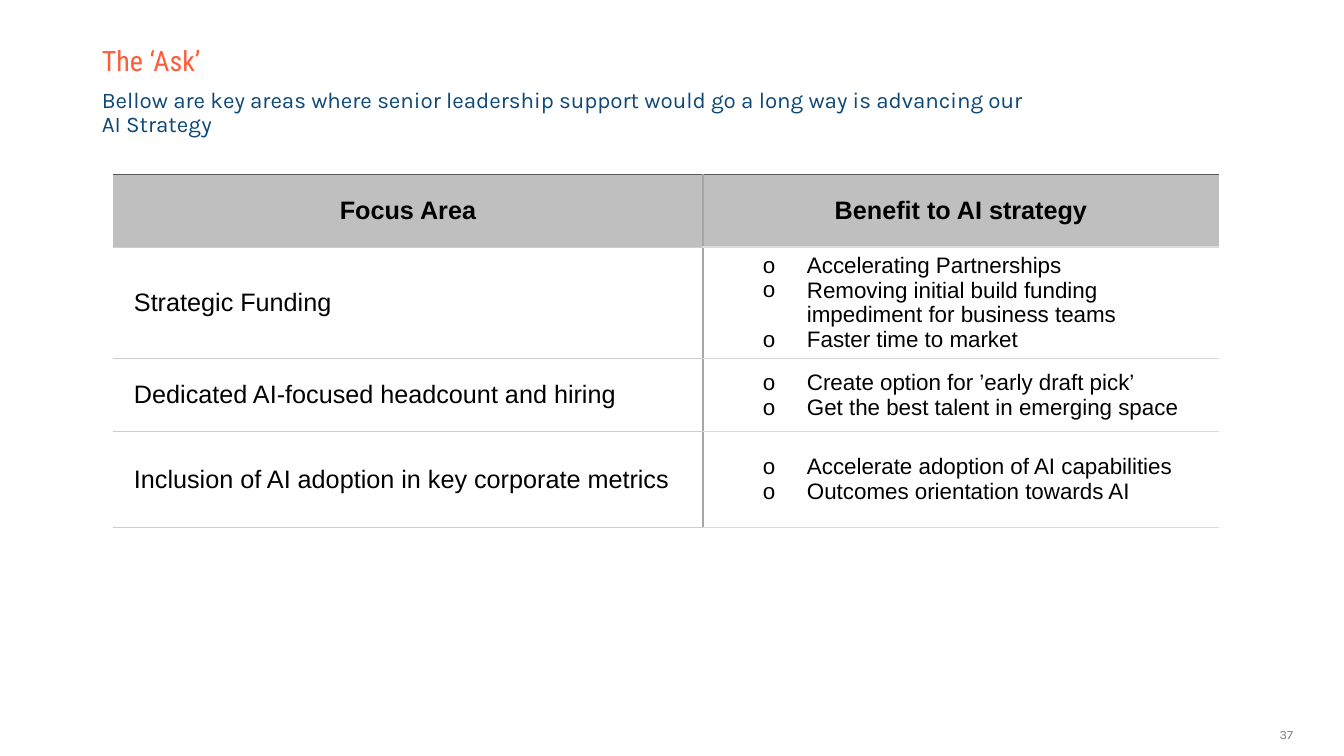
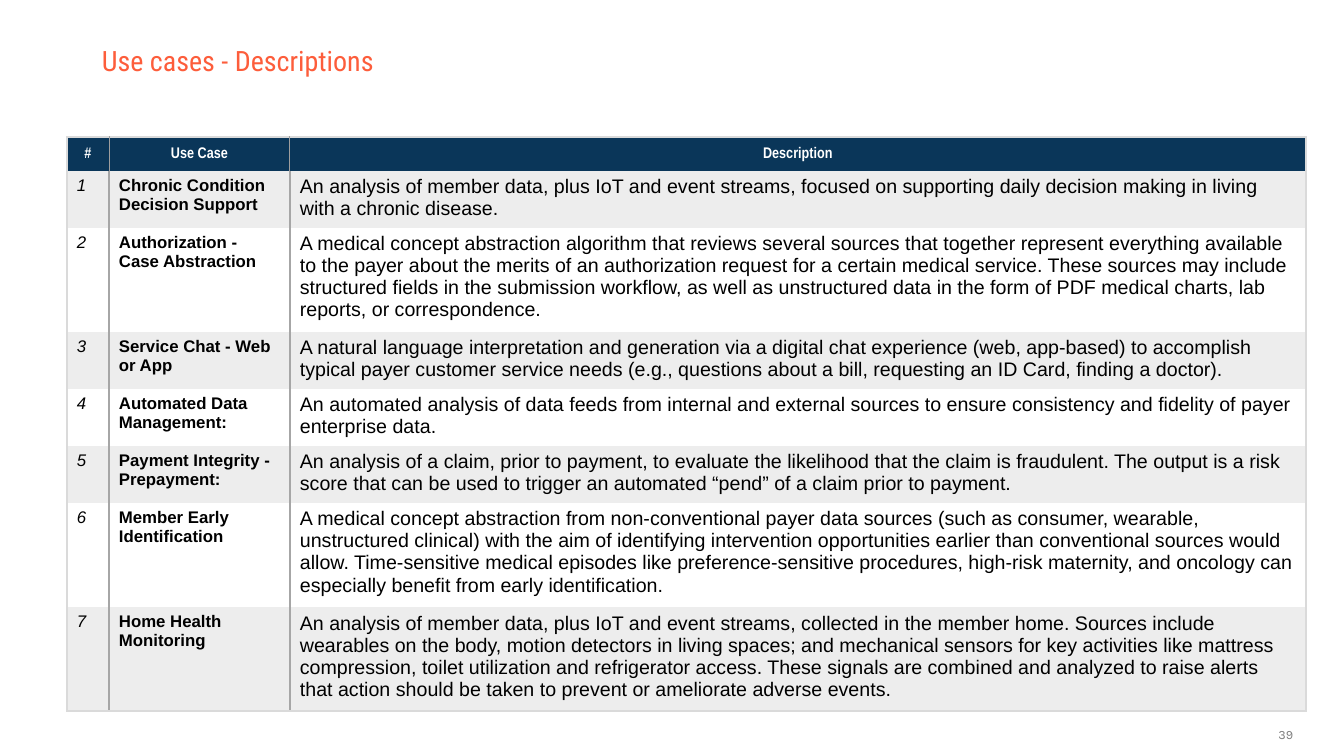
import pptx
import pptx.util
import pptx.dml.color
import pptx.enum.text
import pptx.oxml
import pptx.oxml.ns
import lxml.etree

EMU_PER_PX = 914400 / 100.8
ORANGE, BLUE, NAVY = "FD5D3B", "0D4877", "0A3659"
BLACK, WHITE, NUMBER_GREY = "000000", "FFFFFF", "7F7F7F"
HEADER_GREY, STRIPE = "BFBFBF", "EDEDED"
NO_STYLE = "{2D5ABB26-0587-4C30-8999-92F81FD0307C}"
ALIGN = pptx.enum.text.PP_ALIGN
ANCHOR = pptx.enum.text.MSO_ANCHOR

THIN_ROW, ROW, COLUMN = ("CCCCCC", 0.75), ("DADADA", 1.5), ("A6A6A6", 1.5)
HEADER_COLUMN, HEADER_TOP = ("9E9E9E", 0.75), ("595959", 0.75)

ASKS = [
    ("Strategic Funding", [
        "Accelerating Partnerships",
        "Removing initial build funding impediment for business teams",
        "Faster time to market"]),
    ("Dedicated AI-focused headcount and hiring", [
        "Create option for ’early draft pick’",
        "Get the best talent in emerging space"]),
    ("Inclusion of AI adoption in key corporate metrics", [
        "Accelerate adoption of AI capabilities",
        "Outcomes orientation towards AI"]),
]

USE_CASES = [
    ("Chronic Condition Decision Support",
     "An analysis of member data, plus IoT and event streams, focused on supporting daily "
     "decision making in living with a chronic disease."),
    ("Authorization - Case Abstraction",
     "A medical concept abstraction algorithm that reviews several sources that together "
     "represent everything available to the payer about the merits of an authorization request "
     "for a certain medical service. These sources may include structured fields in the "
     "submission workflow, as well as unstructured data in the form of PDF medical charts, lab "
     "reports, or correspondence."),
    ("Service Chat - Web or App",
     "A natural language interpretation and generation via a digital chat experience (web, "
     "app-based) to accomplish typical payer customer service needs (e.g., questions about a "
     "bill, requesting an ID Card, finding a doctor)."),
    ("Automated Data Management:",
     "An automated analysis of data feeds from internal and external sources to ensure "
     "consistency and fidelity of payer enterprise data."),
    ("Payment Integrity - Prepayment:",
     "An analysis of a claim, prior to payment, to evaluate the likelihood that the claim is "
     "fraudulent. The output is a risk score that can be used to trigger an automated “pend” "
     "of a claim prior to payment."),
    ("Member Early Identification",
     "A medical concept abstraction from non-conventional payer data sources (such as consumer, "
     "wearable, unstructured clinical) with the aim of identifying intervention opportunities "
     "earlier than conventional sources would allow. Time-sensitive medical episodes like "
     "preference-sensitive procedures, high-risk maternity, and oncology can especially benefit "
     "from early identification."),
    ("Home Health Monitoring",
     "An analysis of member data, plus IoT and event streams, collected in the member home. "
     "Sources include wearables on the body, motion detectors in living spaces; and mechanical "
     "sensors for key activities like mattress compression, toilet utilization and refrigerator "
     "access. These signals are combined and analyzed to raise alerts that action should be "
     "taken to prevent or ameliorate adverse events."),
]


def px(length):
    return pptx.util.Emu(round(length * EMU_PER_PX))


def color(value):
    return pptx.dml.color.RGBColor.from_string(value)


def add_bullet(properties, mark):
    shade = lxml.etree.SubElement(properties, pptx.oxml.ns.qn("a:buClr"))
    lxml.etree.SubElement(shade, pptx.oxml.ns.qn("a:srgbClr"), val=BLACK)
    lxml.etree.SubElement(properties, pptx.oxml.ns.qn("a:buFont"), typeface="Arial")
    lxml.etree.SubElement(properties, pptx.oxml.ns.qn("a:buChar"), char=mark)


def write(frame, text, size=14, font="Arial", ink=BLACK, bold=False, italic=False,
          align=ALIGN.LEFT, margin=0, hanging=0, bullet=None, spacing=None):
    lines = [text] if isinstance(text, str) else text
    for index, line in enumerate(lines):
        paragraph = frame.add_paragraph() if index else frame.paragraphs[0]
        paragraph.alignment = align
        properties = paragraph._p.get_or_add_pPr()
        properties.set("marL", str(px(margin)))
        properties.set("indent", str(px(-hanging)))
        if bullet:
            add_bullet(properties, bullet)
        if spacing:
            paragraph.line_spacing = spacing
        run = paragraph.add_run()
        run.text = line
        run.font.size = pptx.util.Pt(size)
        run.font.name = font
        run.font.color.rgb = color(ink)
        run.font.bold, run.font.italic = bold, italic


def add_label(slide, box, text, **style):
    label = slide.shapes.add_textbox(*map(px, box))
    label.text_frame.word_wrap = True
    write(label.text_frame, text, **style)


def add_frame(deck, title, number):
    slide = deck.slides.add_slide(deck.slide_layouts[6])
    add_label(slide, (1252, 722, 51, 25), number, size=9, font="Karla",
              ink=NUMBER_GREY, align=ALIGN.RIGHT)
    add_label(slide, (67, 42, 975, 38), title, size=20, font="Roboto Condensed",
              ink=ORANGE, margin=25, spacing=0.9)
    return slide


def add_grid(slide, left, top, widths, heights):
    table = slide.shapes.add_table(len(heights), len(widths), px(left), px(top),
                                   px(sum(widths)), px(sum(heights))).table
    table.first_row = table.horz_banding = False
    table._tbl.tblPr.find(pptx.oxml.ns.qn("a:tableStyleId")).text = NO_STYLE
    for column, width in zip(table.columns, widths):
        column.width = px(width)
    for row, height in zip(table.rows, heights):
        row.height = px(height)
    return table


def set_borders(cell, borders):
    properties = cell._tc.get_or_add_tcPr()
    for index, side in enumerate("LRTB"):
        line = pptx.oxml.parse_xml(f'<a:ln{side} {pptx.oxml.ns.nsdecls("a")}/>')
        if borders.get(side):
            shade, width = borders[side]
            line.set("w", str(pptx.util.Pt(width)))
            fill = lxml.etree.SubElement(line, pptx.oxml.ns.qn("a:solidFill"))
            lxml.etree.SubElement(fill, pptx.oxml.ns.qn("a:srgbClr"), val=shade)
        else:
            lxml.etree.SubElement(line, pptx.oxml.ns.qn("a:noFill"))
        properties.insert(index, line)


def fill_cell(cell, text, fill, borders, anchor=ANCHOR.TOP, inset=(10, 5), **style):
    cell.vertical_anchor = anchor
    cell.margin_left = cell.margin_right = px(inset[0])
    cell.margin_top = cell.margin_bottom = px(inset[1])
    if fill:
        cell.fill.solid()
        cell.fill.fore_color.rgb = color(fill)
    else:
        cell.fill.background()
    set_borders(cell, borders)
    write(cell.text_frame, text, **style)


def add_ask_table(slide, left, top):
    table = add_grid(slide, left, top, (590, 516), (73, 103, 73, 96))
    middle = dict(anchor=ANCHOR.MIDDLE, inset=(3, 2))
    rules = ({"R": COLUMN, "B": THIN_ROW}, {"L": COLUMN, "B": ROW})
    for column, heading in enumerate(("Focus Area", "Benefit to AI strategy")):
        fill_cell(table.cell(0, column), heading, HEADER_GREY,
                  {**rules[column], "T": HEADER_TOP}, size=18, bold=True,
                  align=ALIGN.CENTER, **middle)
    for row, (focus, benefits) in enumerate(ASKS, 1):
        above = (THIN_ROW, ROW)
        fill_cell(table.cell(row, 0), focus, None, {**rules[0], "T": above[0]},
                  size=18, margin=18, **middle)
        fill_cell(table.cell(row, 1), benefits, None, {**rules[1], "T": above[1]},
                  size=16, margin=101, hanging=44, bullet="o", **middle)


def add_use_case_table(slide, left, top):
    table = add_grid(slide, left, top, (42, 181, 1016), (34, 54, 98, 54, 54, 55, 98, 98))

    def rules(column, inner):
        return {"L": inner if column else ROW, "R": inner if column < 2 else ROW}

    for column, heading in enumerate(("#", "Use Case", "Description")):
        fill_cell(table.cell(0, column), heading, NAVY,
                  {**rules(column, HEADER_COLUMN), "T": ROW}, anchor=ANCHOR.MIDDLE,
                  size=11, font="Arial Narrow", ink=WHITE, bold=True, align=ALIGN.CENTER)
    styles = (dict(size=12, italic=True), dict(size=12, bold=True), dict(size=14))
    for row, (name, description) in enumerate(USE_CASES, 1):
        below = ROW if row == len(USE_CASES) else None
        for column, text in enumerate((str(row), name, description)):
            fill_cell(table.cell(row, column), text, STRIPE if row % 2 else None,
                      {**rules(column, COLUMN), "B": below}, **styles[column])


def build_ask(deck):
    slide = add_frame(deck, "The ‘Ask’", "37")
    add_label(slide, (67, 84, 973, 42),
              "Bellow are key areas where senior leadership support would go a long way is "
              "advancing our AI Strategy",
              size=16, font="Karla", ink=BLUE, margin=25, spacing=0.9)
    add_ask_table(slide, 113, 174)


def build_use_cases(deck):
    slide = add_frame(deck, "Use cases - Descriptions", "39")
    add_use_case_table(slide, 67, 137)


def main():
    deck = pptx.Presentation()
    deck.slide_width, deck.slide_height = px(1344), px(756)
    build_ask(deck)
    build_use_cases(deck)
    deck.save("out.pptx")


if __name__ == "__main__":
    main()
